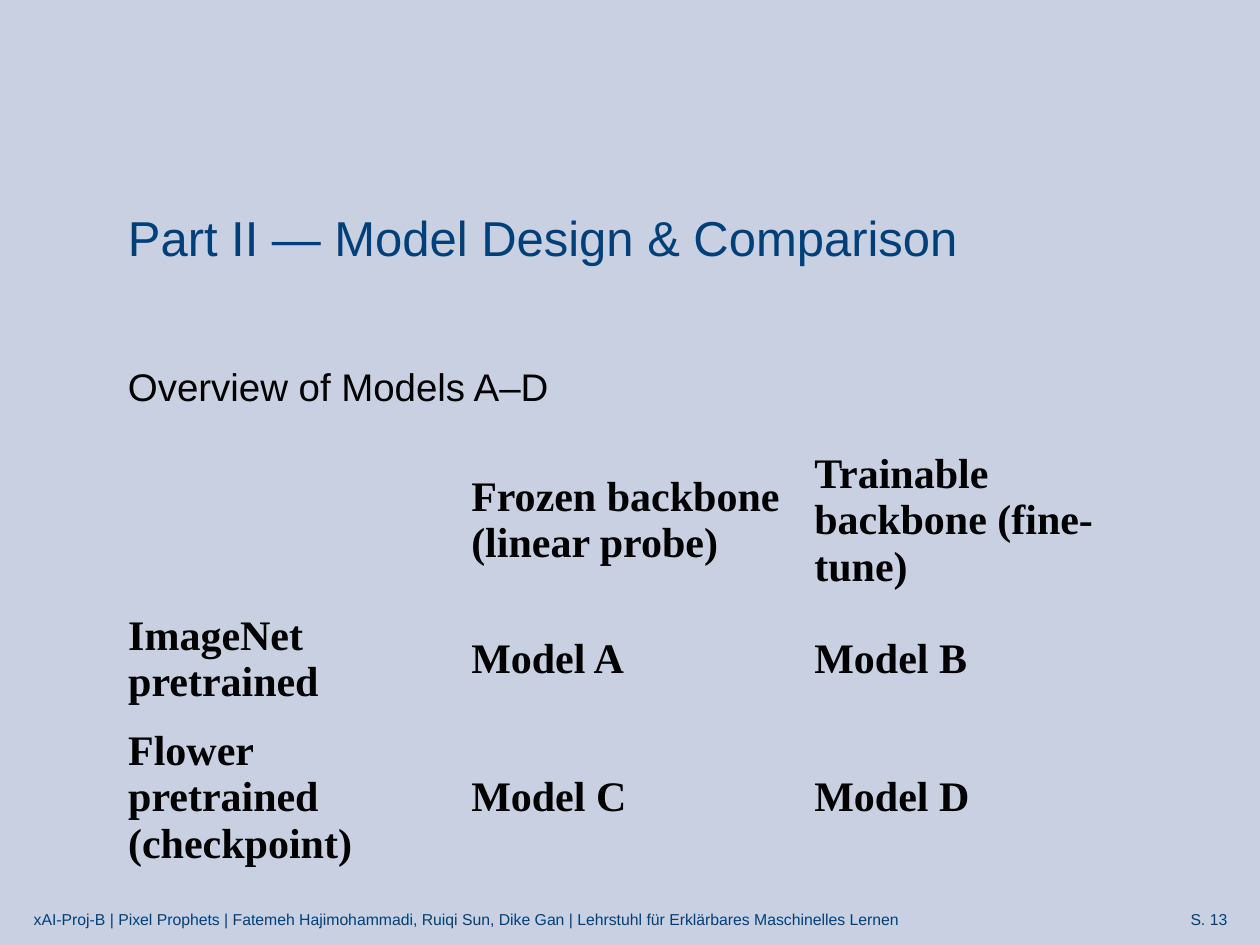
from dataclasses import dataclass

from pptx import Presentation
from pptx.dml.color import RGBColor
from pptx.enum.text import MSO_ANCHOR, PP_ALIGN
from pptx.slide import Slide
from pptx.text.text import _Paragraph
from pptx.util import Cm, Pt

BACKGROUND = RGBColor(0xC8, 0xD0, 0xE2)
NAVY = RGBColor(0x00, 0x40, 0x7A)
BLACK = RGBColor(0x00, 0x00, 0x00)

LEFT, WIDTH = 2.33, 20.75
FOOTER_TOP, FOOTER_HEIGHT = 18.21, 0.64
TABLE_TOP = 8.84
ROW_HEIGHTS = (3.07, 2.13, 3.07)
NO_GRID_STYLE = "{2D5ABB26-0587-4C30-8999-92F81FD0307C}"

MODELS = (
    ("", "Frozen backbone (linear probe)", "Trainable backbone (fine-tune)"),
    ("ImageNet pretrained", "Model A", "Model B"),
    ("Flower pretrained (checkpoint)", "Model C", "Model D"),
)


@dataclass(frozen=True)
class Label:
    text: str
    left: float
    top: float
    width: float
    height: float
    size: float
    color: RGBColor = NAVY
    align: PP_ALIGN = PP_ALIGN.LEFT
    anchor: MSO_ANCHOR = MSO_ANCHOR.TOP


LABELS = (
    Label("S. 13", 22.02, FOOTER_TOP, 2.97, FOOTER_HEIGHT, 9, align=PP_ALIGN.RIGHT),
    Label(
        "xAI-Proj-B | Pixel Prophets | Fatemeh Hajimohammadi, Ruiqi Sun, Dike Gan"
        " | Lehrstuhl für Erklärbares Maschinelles Lernen",
        0.43, FOOTER_TOP, 20.96, FOOTER_HEIGHT, 9,
    ),
    Label("Part II — Model Design & Comparison", LEFT, 3.18, WIDTH, 3.18, 28,
          anchor=MSO_ANCHOR.MIDDLE),
    Label("Overview of Models A–D", LEFT, 7.2, WIDTH, 9.88, 22, BLACK),
)


def set_font(p: _Paragraph, name: str, size: float, color: RGBColor, bold: bool = False) -> None:
    p.font.name = name
    p.font.size = Pt(size)
    p.font.color.rgb = color
    p.font.bold = bold


def add_label(s: Slide, label: Label) -> None:
    sp = s.shapes.add_textbox(
        Cm(label.left), Cm(label.top), Cm(label.width), Cm(label.height)
    )
    tf = sp.text_frame
    tf.word_wrap = True
    tf.vertical_anchor = label.anchor
    p = tf.paragraphs[0]
    p.text = label.text
    p.alignment = label.align
    set_font(p, "Arial", label.size, label.color)


def add_model_table(s: Slide) -> None:
    frame = s.shapes.add_table(
        len(MODELS), len(MODELS[0]),
        Cm(LEFT), Cm(TABLE_TOP), Cm(WIDTH), Cm(sum(ROW_HEIGHTS)),
    )
    table = frame.table
    table.first_row = False
    table.horz_banding = False
    table._tbl.tblPr[0].text = NO_GRID_STYLE
    for row, height, texts in zip(table.rows, ROW_HEIGHTS, MODELS):
        row.height = Cm(height)
        for cell, text in zip(row.cells, texts):
            cell.fill.background()
            cell.vertical_anchor = MSO_ANCHOR.MIDDLE
            p = cell.text_frame.paragraphs[0]
            if text:
                p.text = text
            set_font(p, "Times New Roman", 24, BLACK, bold=True)


def main() -> None:
    prs = Presentation()
    prs.slide_width, prs.slide_height = Cm(25.4), Cm(19.05)
    s = prs.slides.add_slide(prs.slide_layouts[6])
    s.background.fill.solid()
    s.background.fill.fore_color.rgb = BACKGROUND
    for label in LABELS:
        add_label(s, label)
    add_model_table(s)
    prs.save("out.pptx")


if __name__ == "__main__":
    main()
